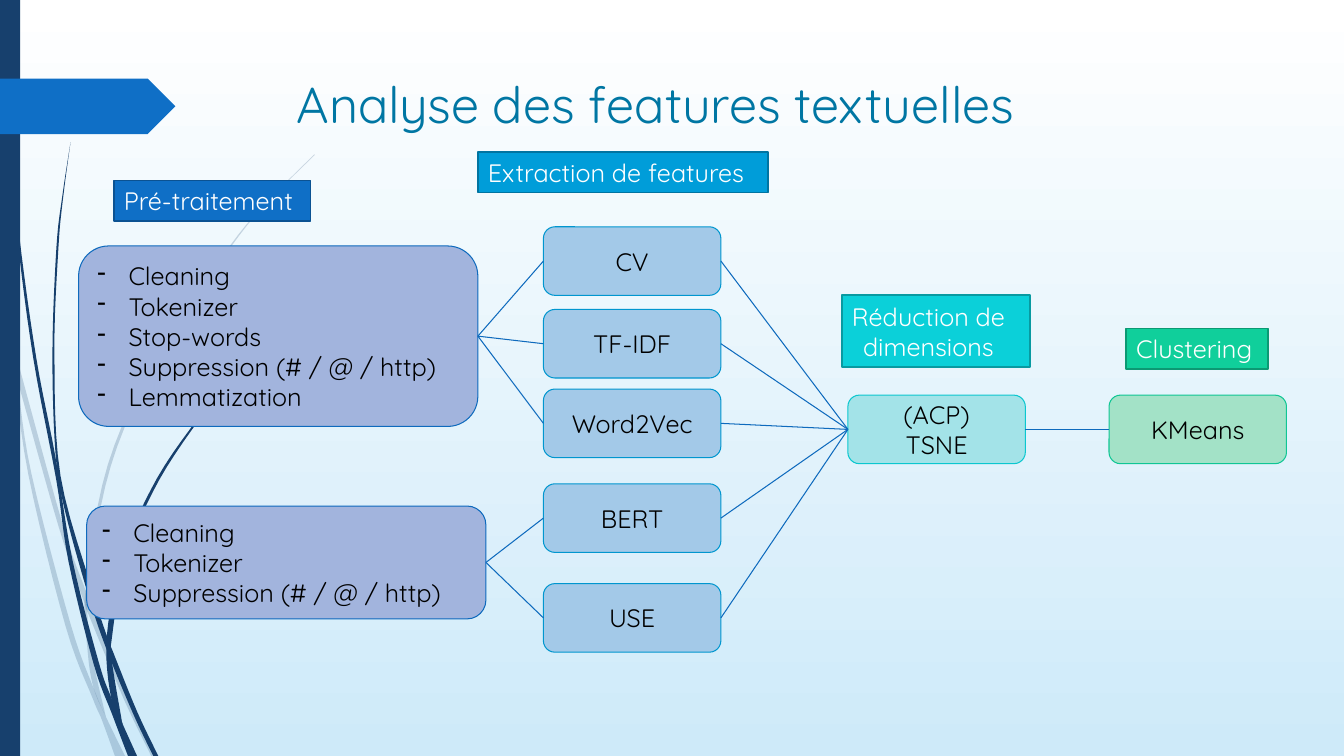
from dataclasses import dataclass
from itertools import chain

from lxml.etree import SubElement
from pptx import Presentation
from pptx.dml.color import RGBColor
from pptx.enum.shapes import MSO_CONNECTOR as Connector, MSO_SHAPE as Preset
from pptx.enum.text import MSO_ANCHOR as Anchor, MSO_AUTO_SIZE as AutoSize, PP_ALIGN as Align
from pptx.oxml.ns import qn
from pptx.util import Inches, Pt

FONT = "Quicksand"
NAVY, BLUE, LINK_BLUE = "17406D", "0F6FC6", "0E6ABD"
BLACK, WHITE = "000000", "FFFFFF"
TOP, LEFT, BOTTOM, RIGHT = 0, 1, 2, 3
Point = tuple[float, float]


@dataclass
class Step:
    """A rounded box of the processing chain."""
    left: float
    top: float
    width: float
    height: float
    text: str
    fill: str
    line: str
    bulleted: bool = False


@dataclass
class StageLabel:
    left: float
    top: float
    width: float
    height: float
    text: str
    fill: str
    line: str


@dataclass
class Strand:
    """A curved blade of grass, given by the anchors of its two edges."""
    outer: list[Point]
    inner: list[Point]
    opacity: int


STRANDS = [
    Strand([(0, 2.82), (.09, 3.22), (.17, 3.76), (.31, 4.69), (.7, 6.19), (.93, 6.83),
            (1.05, 7.11), (1.24, 7.5)],
           [(0, 2.99), (.11, 3.5), (.28, 4.7), (.65, 6.21), (.92, 6.93), (1.01, 7.14),
            (1.14, 7.5)], 20),
    Strand([(.14, 3.45), (.62, 5.2), (.85, 5.86), (.88, 5.96), (1.27, 6.92), (1.55, 7.5)],
           [(.17, 3.76), (.58, 5.22), (.84, 5.99), (.88, 6.1), (1.23, 6.94), (1.5, 7.5)], 20),
    Strand([(3.12, 1.53), (2.68, 1.97), (2.28, 2.44), (1.58, 3.48), (1.07, 4.61),
            (.85, 5.84), (.87, 6.46), (.93, 6.83), (1.05, 7.11)],
           [(3.12, 1.54), (2.68, 1.98), (2.29, 2.45), (1.6, 3.49), (1.1, 4.62),
            (.88, 5.84), (.91, 6.46), (1.05, 7.11)], 20),
    Strand([(.03, 0), (.04, .48), (.07, 1.1), (.17, 2.33), (.33, 3.55), (.56, 4.77),
            (.68, 5.57), (.93, 6.59), (1.11, 7.08), (1.27, 7.5)],
           [(.04, 0), (.05, .48), (.08, 1.09), (.19, 2.32), (.36, 3.55), (.55, 4.53),
            (.72, 5.56), (.98, 6.57), (1.1, 6.91), (1.22, 7.19), (1.36, 7.5)], 100),
    Strand([(.7, 1.41), (.62, 1.93), (.56, 2.45), (.52, 3.49), (.55, 4.49), (.64, 5.05),
            (.88, 5.92), (1.06, 6.45), (1.32, 7.08), (1.52, 7.5)],
           [(.7, 1.41), (.63, 1.93), (.58, 2.45), (.54, 3.49), (.6, 4.72), (.93, 5.9),
            (1.06, 6.31), (1.13, 6.49), (1.36, 7.06), (1.57, 7.5)], 100),
    Strand([(2.6, 3.44), (2.31, 3.73), (2.04, 4.05), (1.56, 4.74), (1.22, 5.51),
            (1.06, 6.31), (1.1, 6.91), (1.22, 7.19)],
           [(2.61, 3.44), (2.31, 3.74), (2.05, 4.06), (1.58, 4.76), (1.25, 5.52),
            (1.11, 6.33), (1.11, 6.56), (1.21, 7.16)], 100),
]

FULL_CLEANING = Step(.78, 2.44, 3.96, 1.79,
                     "Cleaning\nTokenizer\nStop-words\nSuppression (# / @ / http)\nLemmatization",
                     "A2B4DD", LINK_BLUE, True)
LIGHT_CLEANING = Step(.86, 5.02, 3.96, 1.12, "Cleaning\nTokenizer\nSuppression (# / @ / http)",
                      "A2B4DD", LINK_BLUE, True)
REDUCTION = Step(8.41, 3.92, 1.76, .68, "(ACP)\nTSNE", "A3E3E8", "0BC7CF")
CLUSTERING = Step(11, 3.92, 1.76, .68, "KMeans", "A3E2C7", "0FC694")
# Extraction methods with their top, under the cleaning that feeds them
EXTRACTIONS = [
    (FULL_CLEANING, [("CV", 2.25), ("TF-IDF", 3.07), ("Word2Vec", 3.86)]),
    (LIGHT_CLEANING, [("BERT", 4.8), ("USE", 5.79)]),
]
LABELS = [
    StageLabel(1.13, 1.79, 1.95, .4, "Pré-traitement", BLUE, "0B5292"),
    StageLabel(4.74, 1.51, 2.88, .4, "Extraction de features", "009DD9", "0074A1"),
    StageLabel(8.35, 2.93, 1.87, .71, "Réduction de\ndimensions", "0BD0D9", "089AA1"),
    StageLabel(11.17, 3.26, 1.41, .4, "Clustering", "10CF9B", "0C9973"),
]


def rgb(hex_colour: str) -> RGBColor:
    return RGBColor.from_string(hex_colour)


def paint(shape, fill: str, line: str | None = None, weight: float = .75) -> None:
    shape.shadow.inherit = False
    shape.fill.solid()
    shape.fill.fore_color.rgb = rgb(fill)
    if line is None:
        shape.line.fill.background()
    else:
        shape.line.color.rgb = rgb(line)
        shape.line.width = Pt(weight)


def write(frame, text: str, size: float, colour: str, align: Align) -> None:
    frame.text = text
    for paragraph in frame.paragraphs:
        paragraph.alignment = align
        for run in paragraph.runs:
            run.font.name, run.font.size = FONT, Pt(size)
            run.font.color.rgb = rgb(colour)


def add_box(slide, preset: Preset, box: Step | StageLabel):
    return slide.shapes.add_shape(preset, Inches(box.left), Inches(box.top),
                                  Inches(box.width), Inches(box.height))


def add_step(slide, step: Step):
    shape = add_box(slide, Preset.ROUNDED_RECTANGLE, step)
    paint(shape, step.fill, step.line)
    frame = shape.text_frame
    write(frame, step.text, 18, BLACK, Align.LEFT if step.bulleted else Align.CENTER)
    if step.bulleted:
        for paragraph in frame.paragraphs:
            properties = paragraph._p.get_or_add_pPr()
            properties.set("marL", str(Inches(.31)))
            properties.set("indent", str(-Inches(.31)))
            SubElement(properties, qn("a:buChar")).set("char", "-")
    return shape


def add_label(slide, label: StageLabel) -> None:
    shape = add_box(slide, Preset.RECTANGLE, label)
    paint(shape, label.fill, label.line, 1.25)
    frame = shape.text_frame
    write(frame, label.text, 18, WHITE, Align.LEFT)
    for paragraph in frame.paragraphs[1:]:
        paragraph.alignment = Align.CENTER
    frame.word_wrap = False
    frame.auto_size = AutoSize.SHAPE_TO_FIT_TEXT


def link(slide, source, target) -> None:
    connector = slide.shapes.add_connector(Connector.STRAIGHT, 0, 0, 0, 0)
    connector.begin_connect(source, RIGHT)
    connector.end_connect(target, LEFT)
    connector.line.color.rgb = rgb(LINK_BLUE)
    connector.line.width = Pt(.75)
    SubElement(connector._element.spPr, qn("a:effectLst"))


def smooth(anchors: list[Point], steps: int = 6) -> list[Point]:
    """Run a Catmull-Rom curve through the anchors."""
    padded = [anchors[0], *anchors, anchors[-1]]
    curve = []
    for a, b, c, d in zip(padded, padded[1:], padded[2:], padded[3:]):
        for t in (i / steps for i in range(steps)):
            curve.append(tuple(
                q + t / 2 * (r - p + t * (2 * p - 5 * q + 4 * r - s + t * (3 * (q - r) + s - p)))
                for p, q, r, s in zip(a, b, c, d)))
    return [*curve, anchors[-1]]


def add_strand(slide, strand: Strand) -> None:
    outline = [(Inches(x), Inches(y))
               for x, y in chain(smooth(strand.outer), reversed(smooth(strand.inner)))]
    builder = slide.shapes.build_freeform(*outline[0])
    builder.add_line_segments(outline[1:], close=True)
    shape = builder.convert_to_shape()
    paint(shape, NAVY)
    if strand.opacity < 100:
        colour = shape._element.spPr.find(f"{qn('a:solidFill')}/{qn('a:srgbClr')}")
        SubElement(colour, qn("a:alpha")).set("val", str(strand.opacity * 1000))


def main() -> None:
    deck = Presentation()
    deck.slide_width, deck.slide_height = Inches(13.33), Inches(7.5)
    slide = deck.slides.add_slide(deck.slide_layouts[5])

    # Background and side decoration
    backdrop = slide.background.fill
    backdrop.gradient()
    backdrop.gradient_angle = 270
    for stop, colour in zip(backdrop.gradient_stops, (WHITE, "CEEAF9")):
        stop.color.rgb = rgb(colour)
    for strand in STRANDS:
        add_strand(slide, strand)
    side_band = slide.shapes.add_shape(Preset.RECTANGLE, 0, 0, Inches(.2), Inches(7.5))
    paint(side_band, NAVY)
    title_tag = slide.shapes.add_shape(Preset.PENTAGON, 0, Inches(.78), Inches(1.74), Inches(.55))
    paint(title_tag, BLUE)

    # Title
    title = slide.shapes.title
    title.left, title.top, title.width, title.height = map(Inches, (2.84, .68, 9.75, 1.4))
    write(title.text_frame, "Analyse des features textuelles", 36, "0076A3", Align.LEFT)
    title.text_frame.vertical_anchor = Anchor.TOP
    title.text_frame.auto_size = AutoSize.NONE

    # Processing chain
    for label in LABELS:
        add_label(slide, label)
    reduction = add_step(slide, REDUCTION)
    link(slide, reduction, add_step(slide, CLUSTERING))
    for cleaning_step, methods in EXTRACTIONS:
        cleaning = add_step(slide, cleaning_step)
        for name, top in methods:
            method = add_step(slide, Step(5.39, top, 1.76, .68, name, "A3C9E8", "0096CF"))
            link(slide, cleaning, method)
            link(slide, method, reduction)

    deck.save("out.pptx")


if __name__ == "__main__":
    main()
